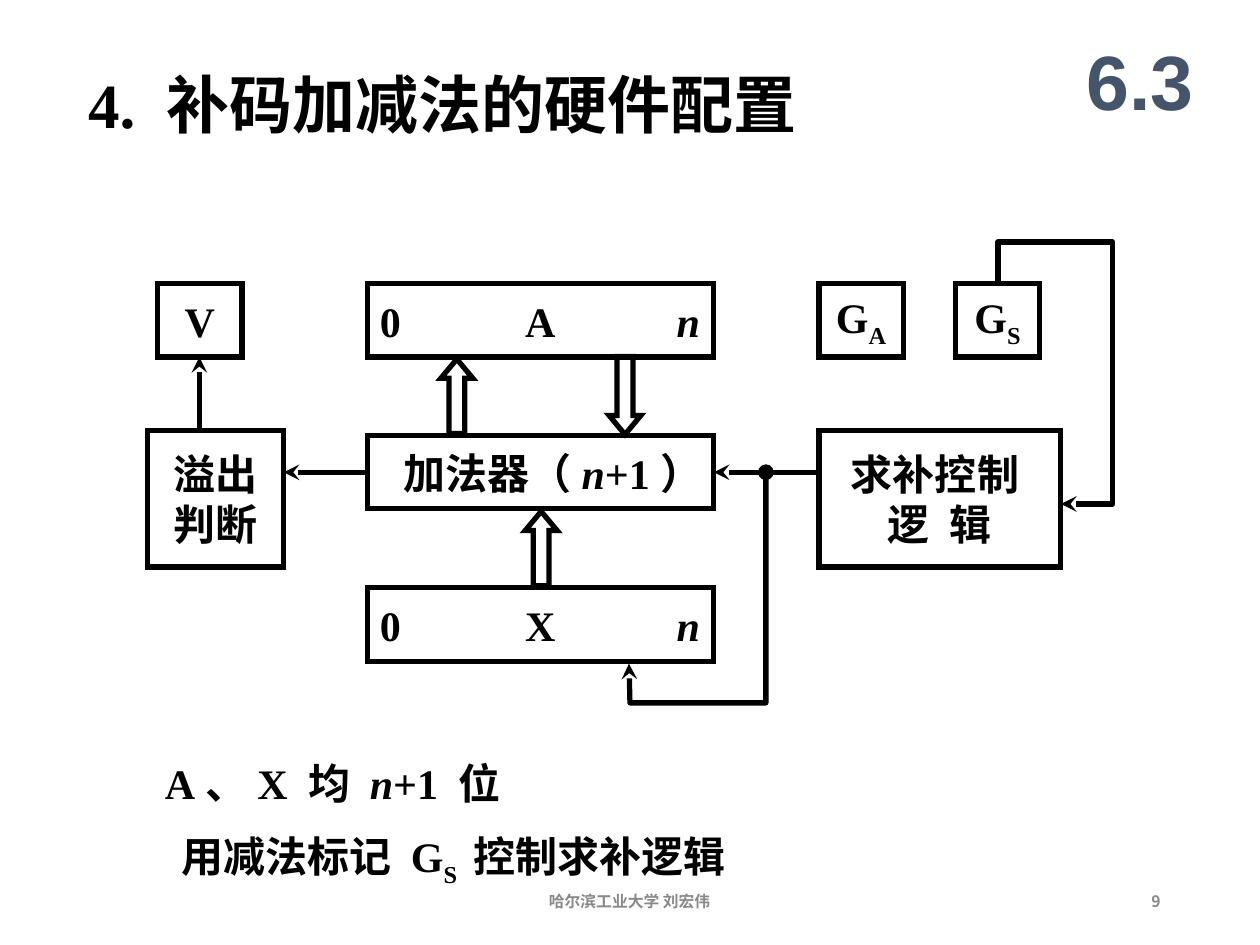
import lxml.etree
import pptx
import pptx.dml.color
import pptx.enum.shapes
import pptx.enum.text
import pptx.oxml.ns
import pptx.util

Cm = pptx.util.Cm
Pt = pptx.util.Pt
qn = pptx.oxml.ns.qn
ALIGN = pptx.enum.text.PP_ALIGN
ANCHOR = pptx.enum.text.MSO_ANCHOR
SHAPE = pptx.enum.shapes.MSO_SHAPE

COLORS = {"ink": "000000", "section": "44546A", "footer": "898989"}
SERIF = "Times New Roman"
CHINESE = "Noto Sans CJK SC"
REGISTER_WIDTH, FLAG_WIDTH, BOX_HEIGHT = 6.98, 1.7, 1.48
REGISTER_LEFT, CONTROL_LEFT = 7.41, 16.51
TOP_ROW, MIDDLE_ROW, BUS_HEIGHT = 5.72, 8.68, 9.52


def color(name):
    """Return the named colour."""
    return pptx.dml.color.RGBColor.from_string(COLORS[name])


def add_runs(paragraph, parts, size=24, font=SERIF, ink="ink"):
    """Fill a paragraph with (text, style) parts in bold."""
    for text, style in parts:
        run = paragraph.add_run()
        run.text = text
        run.font.size, run.font.name, run.font.bold = Pt(size), font, True
        run.font.italic = style == "italic"
        run.font.color.rgb = color(ink)
        properties = run._r.get_or_add_rPr()
        lxml.etree.SubElement(properties, qn("a:ea")).set("typeface", CHINESE)
        if style == "sub":
            properties.set("baseline", "-25000")
        if style == "spaced":
            properties.set("spc", "300")


def write(shape, lines, align=ALIGN.CENTER, anchor=ANCHOR.MIDDLE, wrap=False, **style):
    """Write lines of runs into a shape and return its text frame."""
    frame = shape.text_frame
    frame.word_wrap = wrap
    frame.auto_size = pptx.enum.text.MSO_AUTO_SIZE.NONE
    frame.vertical_anchor = anchor
    for index, parts in enumerate(lines):
        paragraph = frame.add_paragraph() if index else frame.paragraphs[0]
        paragraph.alignment = align
        paragraph.space_before = Pt(0)
        add_runs(paragraph, parts, **style)
    return frame


def place(shape, left, top, width, height):
    """Move and size a placeholder in centimetres."""
    shape.left, shape.top = Cm(left), Cm(top)
    shape.width, shape.height = Cm(width), Cm(height)


def add_label(slide, text, position, align=ALIGN.CENTER, **style):
    """Add a one-line text box."""
    label = slide.shapes.add_textbox(*map(Cm, position))
    write(label, [[(text, "")]], align, wrap=True, **style)


def set_outline(shape, join="a:round", head=None, tail=None):
    """Draw the black outline with its corner join and optional line ends."""
    shape.line.color.rgb = color("ink")
    shape.line.width = Pt(3)
    outline = shape.element.spPr.find(qn("a:ln"))
    lxml.etree.SubElement(outline, qn(join))
    for tag, kind in (("a:headEnd", head), ("a:tailEnd", tail)):
        if kind:
            lxml.etree.SubElement(outline, qn(tag)).set("type", kind)


def add_outlined(slide, kind, left, top, width, height):
    """Add an unfilled preset shape with sharp corners."""
    shape = slide.shapes.add_shape(kind, Cm(left), Cm(top), Cm(width), Cm(height))
    shape.shadow.inherit = False
    shape.fill.background()
    set_outline(shape, join="a:miter")
    return shape


def add_box(slide, left, top, width, height, lines):
    """Add a labelled block and return its text frame."""
    return write(add_outlined(slide, SHAPE.RECTANGLE, left, top, width, height), lines)


def add_register(slide, top, name):
    """Add a register with its first bit, name and last bit spread by tabs."""
    box = add_outlined(slide, SHAPE.RECTANGLE, REGISTER_LEFT, top, REGISTER_WIDTH, BOX_HEIGHT)
    properties = box.text_frame.paragraphs[0]._p.get_or_add_pPr()
    tabs = lxml.etree.SubElement(properties, qn("a:tabLst"))
    for position, align in ((3.23, "ctr"), (6.45, "r")):
        lxml.etree.SubElement(tabs, qn("a:tab"), pos=str(Cm(position)), algn=align)
    write(box, [[(f"0\t{name}\t", ""), ("n", "italic")]], ALIGN.LEFT, wrap=True)


def add_block_arrow(slide, kind, left, top, height):
    """Add a hollow data-path arrow."""
    arrow = add_outlined(slide, kind, left, top, 0.64, height)
    arrow.adjustments[0], arrow.adjustments[1] = 0.5, 0.6


def add_arrow(slide, *ends):
    """Add a straight signal arrow from start to end."""
    straight = pptx.enum.shapes.MSO_CONNECTOR.STRAIGHT
    arrow = slide.shapes.add_connector(straight, *map(Cm, ends))
    set_outline(arrow, tail="stealth")
    lxml.etree.SubElement(arrow.element.spPr, qn("a:effectLst"))


def add_bent_arrow(slide, points, head=None):
    """Add an arrow that runs through the points."""
    start, *rest = [(Cm(x), Cm(y)) for x, y in points]
    builder = slide.shapes.build_freeform(*start)
    builder.add_line_segments(rest, close=False)
    arrow = builder.convert_to_shape()
    arrow.shadow.inherit = False
    arrow.fill.background()
    set_outline(arrow, head=head, tail="stealth")


def add_diagram(slide):
    """Draw the registers, logic blocks and signal paths."""
    flags = ((3.18, [("V", "")]), (CONTROL_LEFT, [("G", ""), ("A", "sub")]),
             (19.26, [("G", ""), ("S", "sub")]))
    for left, parts in flags:
        add_box(slide, left, TOP_ROW, FLAG_WIDTH, BOX_HEIGHT, [parts])
    for top, name in ((TOP_ROW, "A"), (11.85, "X")):
        add_register(slide, top, name)
    adder = add_box(slide, REGISTER_LEFT, 8.78, REGISTER_WIDTH, BOX_HEIGHT,
                    [[("加法器（", ""), ("n", "italic"), ("+1）", "")]])
    adder.margin_left = Cm(0.74)
    add_box(slide, 2.97, MIDDLE_ROW, 2.75, 2.75, [[("溢出", "")], [("判断", "")]])
    add_box(slide, CONTROL_LEFT, MIDDLE_ROW, 4.87, 2.75,
            [[("求补控制 ", "")], [("逻 辑", "spaced")]])
    for kind, left, top, height in ((SHAPE.UP_ARROW, 8.89, 7.24, 1.5),
                                    (SHAPE.DOWN_ARROW, 12.28, 7.19, 1.57),
                                    (SHAPE.UP_ARROW, 10.59, 10.31, 1.5)):
        add_block_arrow(slide, kind, left, top, height)
    add_arrow(slide, 4.02, MIDDLE_ROW, 4.02, TOP_ROW + BOX_HEIGHT)
    add_arrow(slide, CONTROL_LEFT, BUS_HEIGHT, REGISTER_LEFT + REGISTER_WIDTH, BUS_HEIGHT)
    add_arrow(slide, REGISTER_LEFT, BUS_HEIGHT, 5.72, BUS_HEIGHT)
    add_bent_arrow(slide, [(15.44, BUS_HEIGHT), (15.44, 14.17), (12.7, 14.17),
                           (12.68, 13.38)], head="oval")
    add_bent_arrow(slide, [(20.12, TOP_ROW), (20.12, 4.88), (22.43, 4.88),
                           (22.43, 10.16), (21.39, 10.16)])


def add_notes_list(body):
    """Write the two remarks under the diagram."""
    place(body, 3.07, 15.14, 13, 2.92)
    frame = body.text_frame
    frame.word_wrap = True
    frame.auto_size = pptx.enum.text.MSO_AUTO_SIZE.NONE
    remarks = ((0, 0, [("A、X 均 ", ""), ("n", "italic"), ("+1 位", "")]),
               (0.33, 13, [("用减法标记 G", ""), ("S ", "sub"), ("控制求补逻辑", "")]))
    for index, (margin, space, parts) in enumerate(remarks):
        paragraph = frame.add_paragraph() if index else frame.paragraphs[0]
        properties = paragraph._p.get_or_add_pPr()
        properties.set("marL", str(Cm(margin)))
        properties.set("indent", "0")
        lxml.etree.SubElement(properties, qn("a:buNone"))
        paragraph.space_before = Pt(space)
        add_runs(paragraph, parts)


def main():
    """Build and save the slide."""
    presentation = pptx.Presentation()
    presentation.slide_width, presentation.slide_height = Cm(25.4), Cm(19.05)
    slide = presentation.slides.add_slide(presentation.slide_layouts[1])
    title, body = slide.placeholders
    place(title, 1.52, 1.19, 16.5, 1.78)
    write(title, [[("4. 补码加减法的硬件配置", "")]], ALIGN.LEFT, ANCHOR.TOP, wrap=True, size=36)
    add_diagram(slide)
    add_notes_list(body)
    add_label(slide, "6.3", (21.39, 0.43, 3.18, 2.34), size=44, font="Arial", ink="section")
    footer = {"size": 9, "font": CHINESE, "ink": "footer"}
    add_label(slide, "9", (17.93, 17.65, 5.72, 1.02), ALIGN.RIGHT, **footer)
    add_label(slide, "哈尔滨工业大学 刘宏伟", (8.41, 17.65, 8.56, 1.02), **footer)
    presentation.save("out.pptx")


if __name__ == "__main__":
    main()
